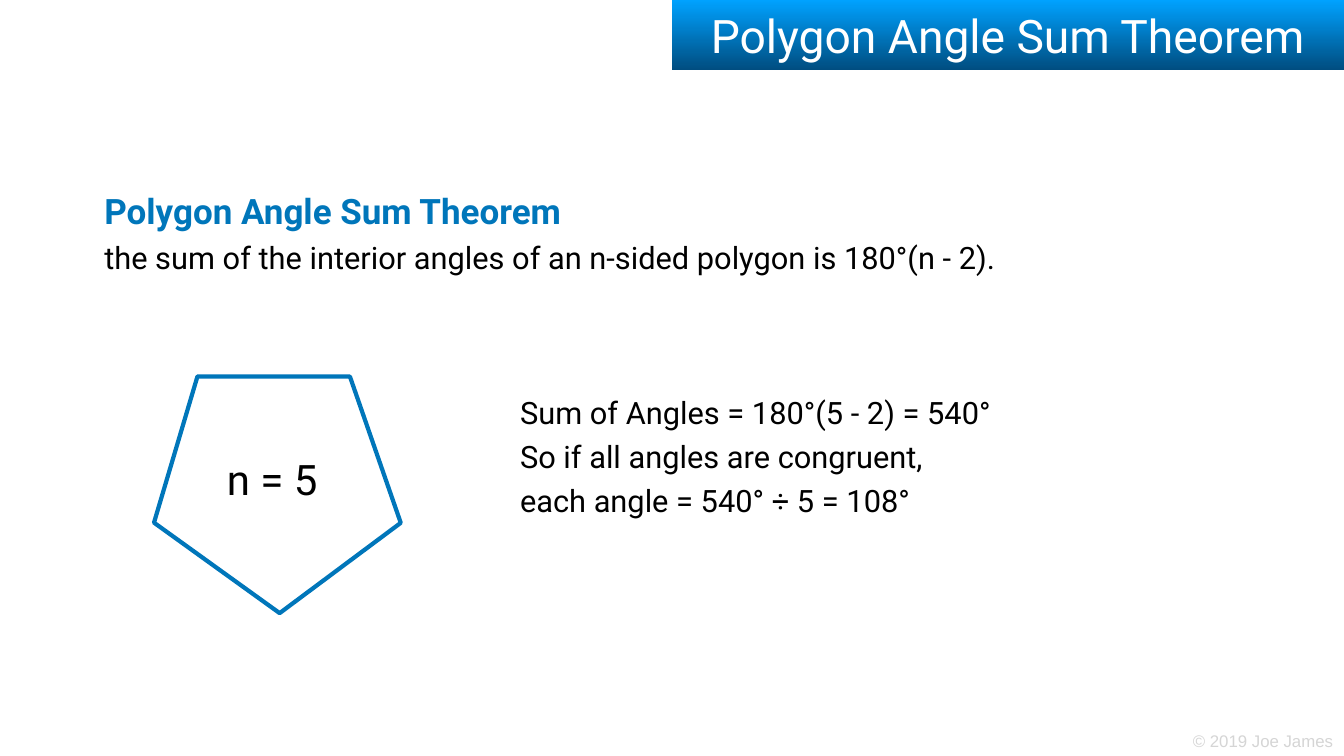
"""Build the Polygon Angle Sum Theorem slide."""
from pptx import Presentation
from pptx.dml.color import RGBColor
from pptx.enum import shapes, text
from pptx.util import Pt

PX = 9144
BLUE, BLACK, WHITE = "0076BA", "000000", "FFFFFF"


def color(value):
    """Return the colour for a hex string."""
    return RGBColor.from_string(value)


def write(shape, lines, font="Roboto", align=text.PP_ALIGN.LEFT, spacing=None,
          anchor=text.MSO_ANCHOR.MIDDLE, wrap=False):
    """Fill a shape with lines of (wording, size, colour, bold)."""
    frame = shape.text_frame
    frame.auto_size = text.MSO_AUTO_SIZE.NONE
    frame.word_wrap = wrap
    frame.vertical_anchor = anchor
    frame.margin_left = frame.margin_right = 6 * PX
    frame.margin_top = frame.margin_bottom = 6 * PX
    frame.text = "\n".join(line[0] for line in lines)
    for paragraph, (_, size, fill, bold) in zip(frame.paragraphs, lines):
        paragraph.alignment = align
        paragraph.line_spacing = spacing
        paragraph.font.name = font
        paragraph.font.size = Pt(size)
        paragraph.font.bold = bold
        paragraph.font.color.rgb = color(fill)


presentation = Presentation()
presentation.slide_width, presentation.slide_height = 2667 * PX, 1500 * PX
slide = presentation.slides.add_slide(presentation.slide_layouts[5])

title = slide.shapes.title
title.left, title.top, title.width, title.height = 1333 * PX, 0, 1334 * PX, 139 * PX
title.fill.gradient()
title.fill.gradient_angle = 270
for stop, shade in zip(title.fill.gradient_stops, ("00A2FF", "004D80")):
    stop.color.rgb = color(shade)
write(title, [("Polygon Angle Sum Theorem", 66, WHITE, False)],
      align=text.PP_ALIGN.CENTER, wrap=True)

theorem = slide.shapes.add_textbox(201 * PX, 353 * PX, 2147 * PX, 183 * PX)
write(theorem, [
    ("Polygon Angle Sum Theorem", 50, BLUE, True),
    ("the sum of the interior angles of an n-sided polygon is 180°(n - 2).", 44, BLACK, False),
], spacing=1.2, anchor=text.MSO_ANCHOR.TOP, wrap=True)

pentagon = slide.shapes.add_shape(
    shapes.MSO_SHAPE.REGULAR_PENTAGON, 291 * PX, 700 * PX, 485 * PX, 474 * PX)
pentagon.rotation = 323.3
pentagon.shadow.inherit = False
pentagon.fill.solid()
pentagon.fill.fore_color.rgb = color(WHITE)
pentagon.line.color.rgb = color(BLUE)
pentagon.line.width = Pt(6)

example = slide.shapes.add_textbox(1026 * PX, 771 * PX, 979 * PX, 254 * PX)
steps = ("Sum of Angles = 180°(5 - 2) = 540°",
         "So if all angles are congruent,",
         "each angle = 540° ÷ 5 = 108°")
write(example, [(step, 44, BLACK, False) for step in steps], spacing=1.2)

side_count = slide.shapes.add_textbox(438 * PX, 896 * PX, 225 * PX, 109 * PX)
write(side_count, [("n = 5 ", 60, BLACK, False)], align=text.PP_ALIGN.CENTER)

copyright_line = slide.shapes.add_textbox(2361 * PX, 1445 * PX, 291 * PX, 49 * PX)
write(copyright_line, [("© 2019 Joe James", 24, "D5D5D5", False)], font="Arial")

presentation.save("out.pptx")
